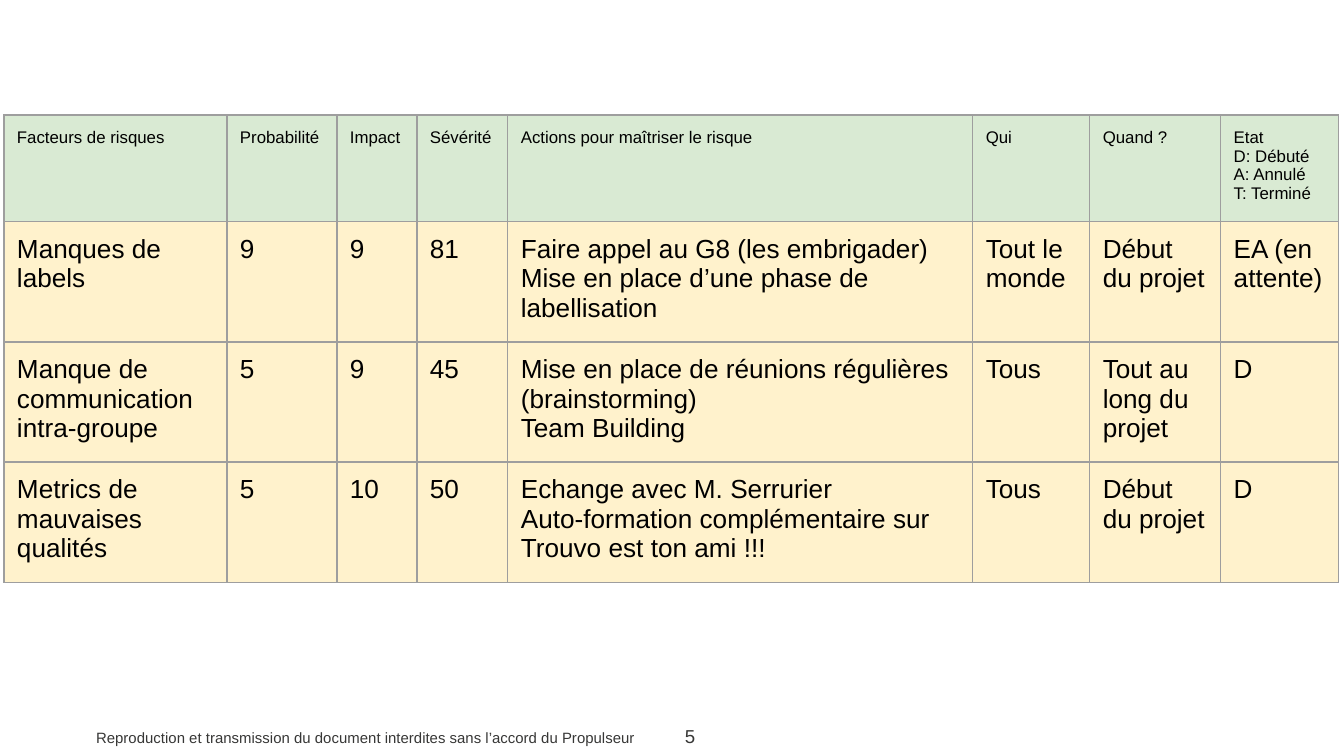
from dataclasses import dataclass

from lxml import etree
from pptx import Presentation
from pptx.dml.color import RGBColor
from pptx.enum.text import MSO_ANCHOR, PP_ALIGN
from pptx.oxml.ns import qn
from pptx.util import Emu, Pt

LEFT, CENTER = PP_ALIGN.LEFT, PP_ALIGN.CENTER
TOP, MIDDLE = MSO_ANCHOR.TOP, MSO_ANCHOR.MIDDLE

BLACK = RGBColor(0x00, 0x00, 0x00)
FOOTER_GREY = RGBColor(0x37, 0x37, 0x36)
HEADER_GREEN = RGBColor(0xD9, 0xEA, 0xD3)
RISK_YELLOW = RGBColor(0xFF, 0xF2, 0xCC)
BORDER_GREY = RGBColor(0x9E, 0x9E, 0x9E)

FONT = "Arial"
PX_PER_INCH = 134.4
BLANK_LAYOUT = 6


def px(length: int) -> Emu:
    return Emu(round(length * 914400 / PX_PER_INCH))


@dataclass(frozen=True)
class TextStyle:
    size: int
    color: RGBColor
    align: int = LEFT


@dataclass(frozen=True)
class FooterText:
    text: str
    box: tuple[int, int, int, int]
    style: TextStyle
    anchor: int


HEADER_STYLE = TextStyle(9, BLACK)
RISK_STYLE = TextStyle(14, BLACK)

FOOTER = [
    FooterText("5", (539, 716, 302, 40), TextStyle(10, FOOTER_GREY, CENTER), MIDDLE),
    FooterText(
        "Reproduction et transmission du document interdites sans l’accord du Propulseur",
        (84, 723, 597, 26), TextStyle(8, FOOTER_GREY), TOP,
    ),
]

# A new line starts a paragraph, \v breaks a line inside one
RISKS = [
    ["Facteurs de risques", "Probabilité", "Impact", "Sévérité",
     "Actions pour maîtriser le risque", "Qui", "Quand ?",
     "Etat \vD: Débuté\nA: Annulé\nT: Terminé"],
    ["Manques de labels", "9", "9", "81",
     "Faire appel au G8 (les embrigader)\nMise en place d’une phase de labellisation",
     "Tout le monde", "Début du projet", "EA (en attente)"],
    ["Manque de communication intra-groupe", "5", "9", "45",
     "Mise en place de réunions régulières (brainstorming)\nTeam Building",
     "Tous", "Tout au long du projet", "D"],
    ["Metrics de mauvaises qualités", "5", "10", "50",
     "Echange avec M. Serrurier\n"
     "Auto-formation complémentaire sur Trouvo est ton ami !!!",
     "Tous", "Début du projet", "D"],
]
TABLE_LEFT, TABLE_TOP = 4, 115
COLUMN_WIDTHS = [223, 110, 80, 91, 465, 117, 131, 118]
ROW_HEIGHTS = [102, 115, 115, 115]
CELL_MARGIN = 13


def set_all(target, values: dict) -> None:
    for attribute, value in values.items():
        setattr(target, attribute, value)


def set_margins(target, across: int, down: int) -> None:
    set_all(target, {
        "margin_left": px(across), "margin_right": px(across),
        "margin_top": px(down), "margin_bottom": px(down),
    })


def write_text(frame, text: str, style: TextStyle) -> None:
    frame.text = text
    for paragraph in frame.paragraphs:
        paragraph.alignment = style.align
        for run in paragraph.runs:
            set_all(run.font, {"name": FONT, "size": Pt(style.size)})
            run.font.color.rgb = style.color


def add_footer_text(slide, footer: FooterText) -> None:
    frame = slide.shapes.add_textbox(*map(px, footer.box)).text_frame
    set_all(frame, {"word_wrap": True, "vertical_anchor": footer.anchor})
    set_margins(frame, 12, 6)
    write_text(frame, footer.text, footer.style)


def add_borders(cell) -> None:
    properties = cell._tc.get_or_add_tcPr()
    # Borders come before the fill in the cell properties
    for position, side in enumerate(("a:lnL", "a:lnR", "a:lnT", "a:lnB")):
        line = etree.Element(qn(side), w=str(Pt(0.75)))
        fill = etree.SubElement(line, qn("a:solidFill"))
        etree.SubElement(fill, qn("a:srgbClr"), val=str(BORDER_GREY))
        properties.insert(position, line)


def fill_cell(cell, text: str, style: TextStyle, color: RGBColor) -> None:
    set_margins(cell, CELL_MARGIN, CELL_MARGIN)
    cell.vertical_anchor = TOP
    cell.fill.solid()
    cell.fill.fore_color.rgb = color
    add_borders(cell)
    write_text(cell.text_frame, text, style)


def add_risk_table(slide) -> None:
    table = slide.shapes.add_table(
        len(ROW_HEIGHTS), len(COLUMN_WIDTHS), px(TABLE_LEFT), px(TABLE_TOP),
        px(sum(COLUMN_WIDTHS)), px(sum(ROW_HEIGHTS)),
    ).table
    set_all(table, {"first_row": False, "horz_banding": False})
    for column, width in zip(table.columns, COLUMN_WIDTHS):
        column.width = px(width)
    for index, (row, height, texts) in enumerate(zip(table.rows, ROW_HEIGHTS, RISKS)):
        row.height = px(height)
        style, color = (RISK_STYLE, RISK_YELLOW) if index else (HEADER_STYLE, HEADER_GREEN)
        for cell, text in zip(row.cells, texts):
            fill_cell(cell, text, style, color)


def main() -> None:
    presentation = Presentation()
    set_all(presentation, {"slide_width": px(1344), "slide_height": px(756)})
    slide = presentation.slides.add_slide(presentation.slide_layouts[BLANK_LAYOUT])

    # Page number and copyright notice
    for footer in FOOTER:
        add_footer_text(slide, footer)

    # Risk register
    add_risk_table(slide)

    presentation.save("out.pptx")


if __name__ == "__main__":
    main()
